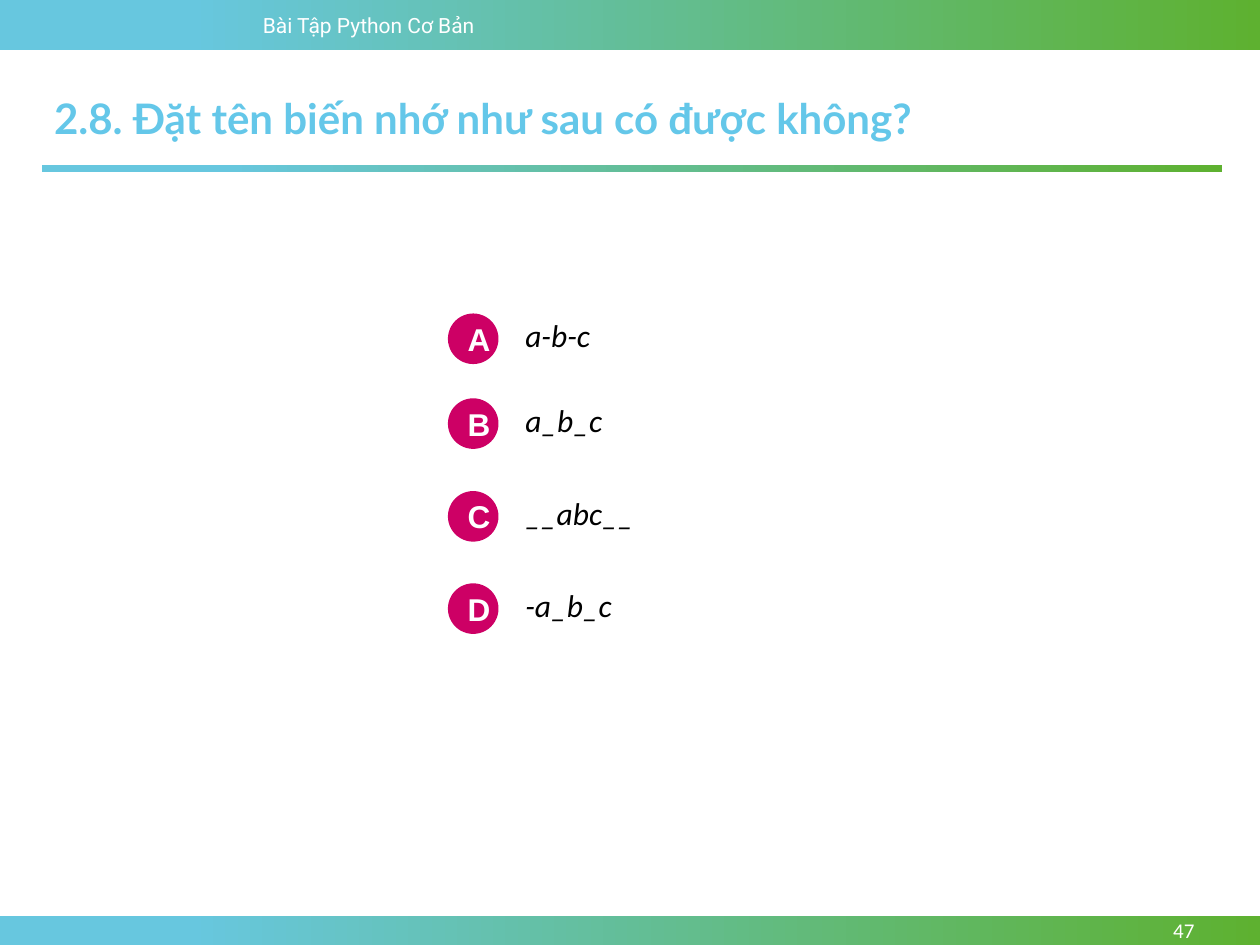
from dataclasses import dataclass

from pptx import Presentation
from pptx.dml.color import RGBColor
from pptx.enum.shapes import MSO_SHAPE
from pptx.enum.text import MSO_ANCHOR, PP_ALIGN
from pptx.shapes.autoshape import Shape
from pptx.util import Cm, Pt

WHITE, BLACK = "FFFFFF", "000000"
SKY, GREEN, PINK, TITLE = "67C7DF", "5EB130", "CD0065", "64C7E9"


@dataclass
class Box:
    """Place and size in centimetres."""
    left: float
    top: float
    width: float
    height: float

    def span(self) -> list[Cm]:
        return [Cm(n) for n in (self.left, self.top, self.width, self.height)]


@dataclass
class Font:
    name: str
    size: int
    hue: str
    bold: bool = False
    slant: bool = False


@dataclass
class Choice:
    mark: str
    text: str
    top: float


def color(code: str) -> RGBColor:
    return RGBColor.from_string(code)


def write(shape: Shape, text: str, font: Font, align=PP_ALIGN.LEFT,
          anchor=MSO_ANCHOR.TOP) -> None:
    frame = shape.text_frame
    frame.text = text
    frame.word_wrap = True
    frame.vertical_anchor = anchor
    line = frame.paragraphs[0]
    line.alignment = align
    for run in line.runs:
        run.font.name = font.name
        run.font.size = Pt(font.size)
        run.font.bold = font.bold
        run.font.italic = font.slant
        run.font.color.rgb = color(font.hue)


def add_text(slide, box: Box, text: str, font: Font, **place) -> None:
    write(slide.shapes.add_textbox(*box.span()), text, font, **place)


def add_form(slide, kind: MSO_SHAPE, box: Box) -> Shape:
    shape = slide.shapes.add_shape(kind, *box.span())
    shape.shadow.inherit = False
    shape.line.fill.background()
    return shape


def add_band(slide, box: Box) -> None:
    fill = add_form(slide, MSO_SHAPE.RECTANGLE, box).fill
    fill.gradient()
    fill.gradient_angle = 0
    for stop, hue, pos in zip(fill.gradient_stops, (SKY, GREEN), (0.15, 1)):
        stop.color.rgb = color(hue)
        stop.position = pos


def add_choice(slide, item: Choice) -> None:
    disc = add_form(slide, MSO_SHAPE.OVAL, Box(9.03, item.top, 1.02, 1.02))
    disc.fill.solid()
    disc.fill.fore_color.rgb = color(PINK)
    write(disc, item.mark, Font("Arial", 18, WHITE, bold=True),
          align=PP_ALIGN.CENTER, anchor=MSO_ANCHOR.MIDDLE)
    add_text(slide, Box(10.34, item.top - 0.07, 7, 1.02), item.text,
             Font("Calibri", 18, BLACK, slant=True))


def main() -> None:
    deck = Presentation()
    deck.slide_width, deck.slide_height = Cm(25.4), Cm(19.05)
    slide = deck.slides.add_slide(deck.slide_layouts[6])

    # Header, footer and title rule
    for band in (Box(0, 0, 25.4, 1.02), Box(0, 18.47, 25.4, 0.58),
                 Box(0.84, 3.33, 23.8, 0.13)):
        add_band(slide, band)
    add_text(slide, Box(5.05, 0.13, 5.72, 0.76), "Bài Tập Python Cơ Bản",
             Font("Roboto", 12, WHITE))
    add_text(slide, Box(22, 18.47, 2.33, 0.58), "47",
             Font("Calibri", 12, WHITE),
             align=PP_ALIGN.RIGHT, anchor=MSO_ANCHOR.MIDDLE)

    # Question
    add_text(slide, Box(0.84, 1.75, 24.36, 1.27),
             "2.8. Đặt tên biến nhớ như sau có được không?",
             Font("Lato", 24, TITLE, bold=True))

    # Answers
    for item in (Choice("A", "a-b-c", 6.32), Choice("B", "a_b_c", 8.03),
                 Choice("C", "__abc__", 9.9), Choice("D", "-a_b_c", 11.76)):
        add_choice(slide, item)

    deck.save("out.pptx")


if __name__ == "__main__":
    main()
